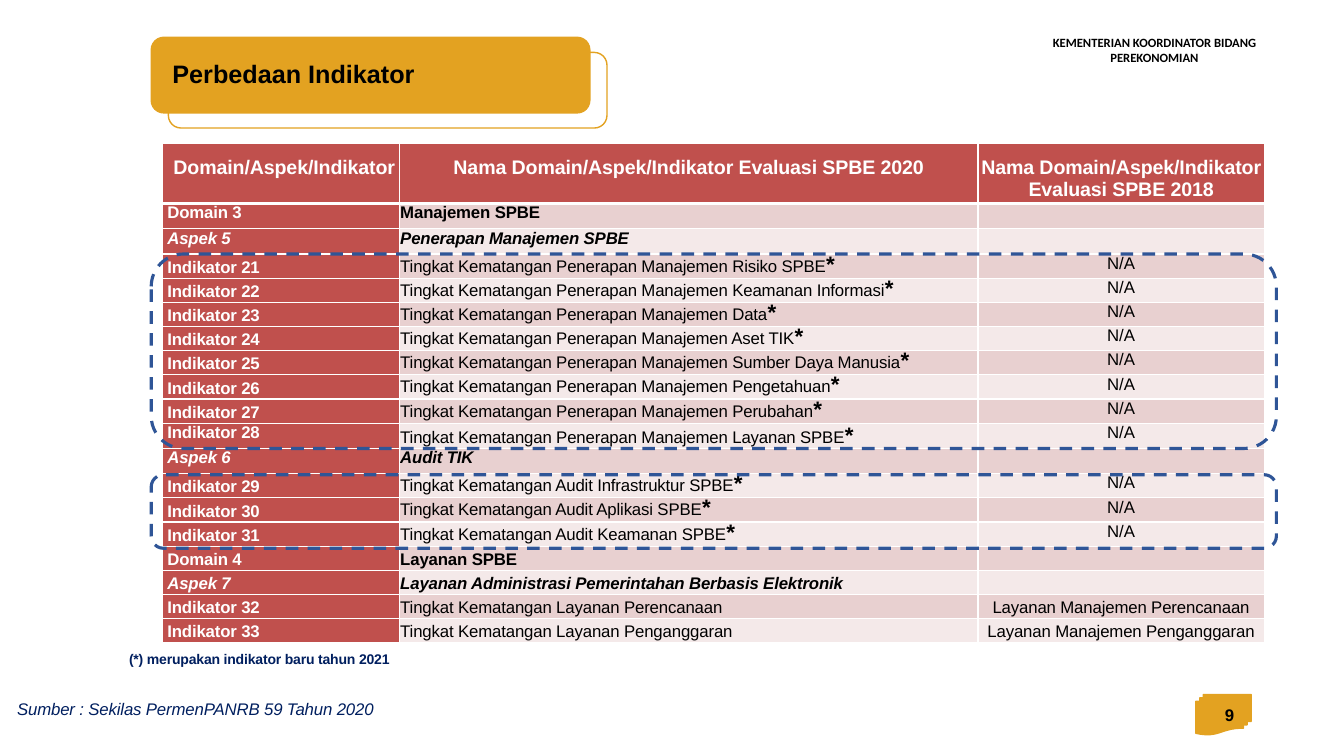
from lxml.etree import SubElement
from pptx import Presentation
from pptx.dml.color import RGBColor
from pptx.enum.dml import MSO_LINE
from pptx.enum.shapes import MSO_SHAPE as SHAPE
from pptx.enum.text import MSO_ANCHOR as ANCHOR, PP_ALIGN as ALIGN
from pptx.oxml import parse_xml
from pptx.oxml.ns import nsdecls, qn
from pptx.util import Inches, Pt

GOLD, RED, NAVY, BLUE = "E3A221", "C0504D", "001F5F", "2F5597"
BLACK, WHITE = "000000", "FFFFFF"
BANDS = ["F4E9E9", "E8D0D0"]


def color(value):
    return RGBColor.from_string(value)


def write(frame, text, size=12, fill=BLACK, font="Arial", bold=False, italic=False,
          align=ALIGN.LEFT, indent=0, exact=None, tight=True, star=False):
    """Fill the first paragraph; star adds a larger bold asterisk."""
    para = frame.paragraphs[0]
    para.alignment = align
    para.line_spacing = exact
    para._p.get_or_add_pPr().set("marL", str(Inches(indent)))
    pieces = [(text, size, bold)] + ([("*", 16, True)] if star else [])
    for piece, points, heavy in pieces:
        span = para.add_run()
        span.text = piece
        span.font.name, span.font.size = font, Pt(points)
        span.font.bold, span.font.italic = heavy, italic
        span.font.color.rgb = color(fill)
        if tight:
            span.font._element.set("spc", "-10")


deck = Presentation()
deck.slide_width, deck.slide_height = Inches(13.33), Inches(7.5)
page = deck.slides.add_slide(deck.slide_layouts[5])
shapes = page.shapes

# Title plate and page-number badge
for kind, left, top, width, height, filled in [
        (SHAPE.ROUNDED_RECTANGLE, 1.67, 0.52, 4.35, 0.75, False),
        (SHAPE.ROUNDED_RECTANGLE, 1.5, 0.37, 4.35, 0.75, True),
        (SHAPE.FLOWCHART_MULTIDOCUMENT, 11.86, 6.89, 0.55, 0.4, True)]:
    plate = shapes.add_shape(kind, Inches(left), Inches(top), Inches(width), Inches(height))
    plate.shadow.inherit = False
    plate.line.color.rgb, plate.line.width = color(GOLD), Pt(1)
    if filled:
        plate.fill.solid()
        plate.fill.fore_color.rgb = color(GOLD)
    else:
        plate.fill.background()

# Title, brought in front of its plate
title = shapes.title
title.left, title.top, title.width, title.height = map(Inches, (1.61, 0.53, 2.63, 0.4))
title.text_frame.word_wrap = False
title.text_frame.vertical_anchor = ANCHOR.TOP
write(title.text_frame, "Perbedaan Indikator", size=18, bold=True, tight=False)
shapes._spTree.append(title._element)

# Table content: label, name, 2018 name; a trailing * marks a new indicator
HEADINGS = ["Domain/Aspek/Indikator",
            "Nama Domain/Aspek/Indikator Evaluasi SPBE 2020",
            "Nama Domain/Aspek/Indikator Evaluasi SPBE 2018"]
MANAGED = ["Risiko SPBE", "Keamanan Informasi", "Data", "Aset TIK",
           "Sumber Daya Manusia", "Pengetahuan", "Perubahan", "Layanan SPBE"]
AUDITED = ["Infrastruktur", "Aplikasi", "Keamanan"]
PLANNED = ["Perencanaan", "Penganggaran"]
LEVEL = "Tingkat Kematangan"
rows = [("Domain 3", "Manajemen SPBE", ""), ("Aspek 5", "Penerapan Manajemen SPBE", "")]
rows += [(f"Indikator {number}", f"{LEVEL} Penerapan Manajemen {item}", "N/A")
         for number, item in enumerate(MANAGED, 21)]
rows += [("Aspek 6", "Audit TIK", "")]
rows += [(f"Indikator {number}", f"{LEVEL} Audit {item} SPBE", "N/A")
         for number, item in enumerate(AUDITED, 29)]
rows += [("Domain 4", "Layanan SPBE", ""),
         ("Aspek 7", "Layanan Administrasi Pemerintahan Berbasis Elektronik", "")]
rows += [(f"Indikator {number}", f"{LEVEL} Layanan {item}", f"Layanan Manajemen {item}")
         for number, item in enumerate(PLANNED, 32)]
LOOSE = {"Domain 3", "Aspek 5", "Indikator 28", "Aspek 6"}  # rows with natural line spacing

table_frame = shapes.add_table(len(rows) + 1, 3, Inches(1.61), Inches(1.42),
                               Inches(10.93), Inches(4.99))
table = table_frame.table
table.first_row = table.horz_banding = False
for column, width in zip(table.columns, (2.35, 5.74, 2.84)):
    column.width = Inches(width)

# Table cells
for row_index, texts in enumerate([HEADINGS] + rows):
    label, heading = texts[0], row_index == 0
    loose = label in LOOSE
    table.rows[row_index].height = Inches(0.6 if heading else 0.25 if loose else 0.24)
    for column_index, text in enumerate(texts):
        cell = table.cell(row_index, column_index)
        cell.margin_left = cell.margin_right = cell.margin_bottom = 0
        cell.margin_top = Inches(0.13 if heading else 0)
        for side in "LRTB":
            thick = (row_index, side) in {(0, "B"), (1, "T")}
            cell._tc.get_or_add_tcPr().append(parse_xml(
                f'<a:ln{side} {nsdecls("a")} w="{Pt(3 if thick else 1)}"><a:solidFill>'
                f'<a:srgbClr val="{WHITE}"/></a:solidFill></a:ln{side}>'))
        red = heading or column_index == 0
        cell.fill.solid()
        cell.fill.fore_color.rgb = color(RED if red else BANDS[row_index % 2])
        if not text:
            SubElement(cell.text_frame.paragraphs[0]._p, qn("a:endParaRPr"), sz="1200")
            continue
        indicator = label.startswith("Indikator")
        centred = column_index == 2 or heading and column_index == 1
        write(cell.text_frame, text, size=14 if heading else 12,
              fill=WHITE if red else BLACK, bold=red or not indicator,
              italic=label.startswith("Aspek"), tight=text != "N/A",
              align=ALIGN.CENTER if centred else ALIGN.LEFT,
              indent=0 if centred else 0.11 if heading else (0.05, 0.01)[column_index],
              exact=None if heading or loose or text == "N/A" else Pt(16.3),
              star=column_index == 1 and texts[2] == "N/A")

# Dashed frames around the new indicators
for top, height in [(2.52, 1.93), (4.71, 0.73)]:
    outline = shapes.add_shape(SHAPE.ROUNDED_RECTANGLE, Inches(1.5), Inches(top),
                               Inches(11.16), Inches(height))
    outline.shadow.inherit = False
    outline.fill.background()
    outline.line.color.rgb, outline.line.width = color(BLUE), Pt(2.25)
    outline.line.dash_style = MSO_LINE.DASH

# Ministry name, page number, footnote and source
for text, left, top, width, height, flush, look in [
        ("KEMENTERIAN KOORDINATOR BIDANG PEREKONOMIAN", 10.03, 0.3, 2.84, 0.51, False,
         dict(size=9, font="Calibri", bold=True, align=ALIGN.CENTER, tight=False)),
        ("9", 9.34, 6.89, 3, 0.4, False, dict(bold=True, align=ALIGN.RIGHT, tight=False)),
        ("(*) merupakan indikator baru tahun 2021", 1.27, 6.44, 9.83, 0.18, True,
         dict(size=10, fill=NAVY, bold=True, indent=0.01)),
        ("Sumber : Sekilas PermenPANRB 59 Tahun 2020", 0.16, 6.92, 9.83, 0.36, True,
         dict(fill=NAVY, italic=True, indent=0.01))]:
    box = shapes.add_textbox(Inches(left), Inches(top), Inches(width), Inches(height))
    frame = box.text_frame
    frame.word_wrap = True
    if flush:
        frame.margin_left = frame.margin_right = frame.margin_bottom = 0
        frame.margin_top = Inches(0.01)
    if text == "9":
        frame.vertical_anchor = ANCHOR.MIDDLE
    write(frame, text, **look)

deck.save("out.pptx")
